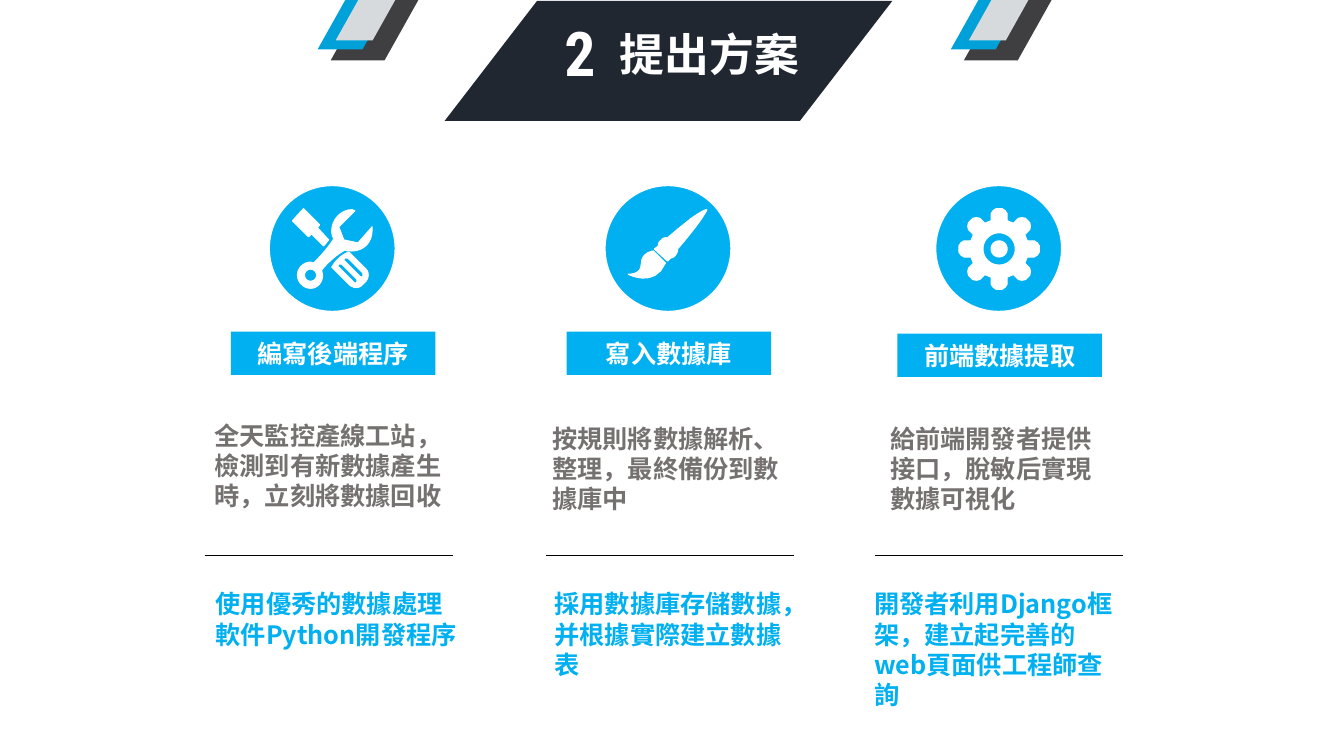
"""Build the slide on proposing a solution: three steps with icons, labels and notes."""
from math import cos, pi, sin

from lxml import etree
from pptx import Presentation
from pptx.dml.color import RGBColor
from pptx.enum.shapes import MSO_CONNECTOR, MSO_SHAPE
from pptx.enum.text import MSO_ANCHOR, MSO_AUTO_SIZE, PP_ALIGN
from pptx.oxml.ns import qn
from pptx.util import Inches, Pt

STRAIGHT = MSO_CONNECTOR.STRAIGHT
OVAL, RECTANGLE, PARALLELOGRAM = MSO_SHAPE.OVAL, MSO_SHAPE.RECTANGLE, MSO_SHAPE.PARALLELOGRAM
CENTER, MIDDLE, GROW = PP_ALIGN.CENTER, MSO_ANCHOR.MIDDLE, MSO_AUTO_SIZE.SHAPE_TO_FIT_TEXT

WHITE = RGBColor(0xFF, 0xFF, 0xFF)
BLACK = RGBColor(0x00, 0x00, 0x00)
NAVY = RGBColor(0x20, 0x27, 0x31)
BLUE = RGBColor(0x00, 0xB0, 0xF0)
GRAY = RGBColor(0x76, 0x71, 0x71)
CHARCOAL = RGBColor(0x3F, 0x3E, 0x40)
DEEP_BLUE = RGBColor(0x00, 0xA1, 0xD8)
SILVER = RGBColor(0xD6, 0xDA, 0xDD)
CJK_FONT = "Noto Sans CJK SC"

prs = Presentation()
prs.slide_width, prs.slide_height = Inches(13.33), Inches(7.5)
slide = prs.slides.add_slide(prs.slide_layouts[6])
shapes = slide.shapes


def add_filled(kind, left, top, width, height, color):
    shape = shapes.add_shape(kind, Inches(left), Inches(top), Inches(width), Inches(height))
    shape.shadow.inherit = False
    shape.fill.solid()
    shape.fill.fore_color.rgb = color
    shape.line.fill.background()
    return shape


def write(shape, text, size, color, font=CJK_FONT, wrap=True):
    frame = shape.text_frame
    frame.word_wrap = wrap
    paragraph = frame.paragraphs[0]
    paragraph.text = text
    paragraph.font.size = Pt(size)
    paragraph.font.bold = True
    paragraph.font.color.rgb = color
    paragraph.font.name = font
    defaults = paragraph._p.pPr.find(qn("a:defRPr"))
    etree.SubElement(defaults, qn("a:ea")).set("typeface", font)
    return frame


banner = add_filled(PARALLELOGRAM, 4.41, 0.01, 4.44, 1.19, NAVY)
banner.adjustments[0] = 0.77
title = shapes.add_textbox(Inches(6.05), Inches(0.22), Inches(1.98), Inches(0.64))
write(title, "提出方案", 32, WHITE, wrap=False).auto_size = GROW
number = shapes.add_textbox(Inches(5.5), Inches(0.1), Inches(1.18), Inches(0.84))
write(number, "2", 44, WHITE, "Roboto Condensed").auto_size = GROW

for ornament_left in (3.15, 9.43):
    for offset, width, height, color in (
        (0.13, 0.87, 0.6, CHARCOAL),
        (0, 0.72, 0.49, DEEP_BLUE),
        (0.18, 0.59, 0.4, SILVER),
    ):
        stripe = add_filled(PARALLELOGRAM, ornament_left + offset, 0, width, height, color)
        stripe.adjustments[0] = 0.56

# Each contour lists corners as (x, y) and curves as two control points and an end.
wrench = [
    (3.42, 2.48), (3.44, 2.49, 3.47, 2.49, 3.49, 2.49), (3.61, 2.49, 3.69, 2.4, 3.69, 2.29),
    (3.69, 2.25), (3.55, 2.41), (3.41, 2.38), (3.36, 2.25), (3.52, 2.09), (3.49, 2.08),
    (3.38, 2.08, 3.29, 2.18, 3.29, 2.29), (3.29, 2.32, 3.3, 2.35, 3.31, 2.37),
    (3.24, 2.48, 3.15, 2.57, 3.11, 2.61), (3.08, 2.6), (3.01, 2.6, 2.95, 2.66, 2.95, 2.73),
    (2.95, 2.8, 3.01, 2.86, 3.08, 2.86), (3.15, 2.86, 3.2, 2.8, 3.2, 2.73), (3.19, 2.68),
    (3.22, 2.64, 3.3, 2.55, 3.42, 2.48),
]
screwdriver_tip = [
    (3.09, 2.32), (3.21, 2.44), (3.26, 2.38), (3.15, 2.26), (3.17, 2.23),
    (3.01, 2.07), (2.9, 2.19), (3.06, 2.35),
]
screwdriver_grip = [
    (3.46, 2.5), (3.46, 2.5, 3.36, 2.53, 3.29, 2.65), (3.47, 2.83),
    (3.51, 2.86, 3.56, 2.86, 3.59, 2.83), (3.63, 2.79), (3.66, 2.75, 3.66, 2.7, 3.63, 2.67),
]
grip_slots = [
    [
        (3.54 + d, 2.8 - d), (3.53 + d, 2.81 - d, 3.52 + d, 2.81 - d, 3.51 + d, 2.8 - d),
        (3.36 + d, 2.65 - d), (3.35 + d, 2.65 - d, 3.35 + d, 2.63 - d, 3.36 + d, 2.62 - d),
        (3.37 + d, 2.62 - d, 3.38 + d, 2.62 - d, 3.39 + d, 2.62 - d), (3.54 + d, 2.77 - d),
    ]
    for d in (0, 0.06)
]
bristles = [
    (6.36, 2.62), (6.36, 2.73, 6.23, 2.72, 6.23, 2.72), (6.23, 2.72, 6.49, 2.86, 6.6, 2.61),
    (6.48, 2.49), (6.48, 2.49, 6.36, 2.5, 6.36, 2.62),
]
brush_handle = [
    (7.01, 2.08), (7.01, 2.08, 6.99, 2.07, 6.85, 2.17), (6.85, 2.17, 6.71, 2.28, 6.62, 2.36),
    (6.58, 2.35, 6.56, 2.38, 6.56, 2.38), (6.52, 2.41, 6.53, 2.44, 6.53, 2.44), (6.49, 2.47),
    (6.62, 2.59), (6.65, 2.56), (6.68, 2.56, 6.7, 2.53, 6.7, 2.53),
    (6.7, 2.53, 6.73, 2.49, 6.72, 2.47), (6.8, 2.38, 6.9, 2.25, 6.9, 2.25),
    (6.94, 2.2, 7.02, 2.08, 7.01, 2.08),
]
tooth = [
    (-0.08, -0.28), (-0.08, -0.35), (-0.06, -0.38), (-0.03, -0.4),
    (0.03, -0.4), (0.06, -0.38), (0.08, -0.35), (0.08, -0.28),
]
gear_x, gear_y = 9.91, 2.47
gear_rim = [
    (gear_x + x * cos(a) - y * sin(a), gear_y + x * sin(a) + y * cos(a))
    for a in [k * pi / 4 for k in range(8)] for x, y in tooth
]
gear_rings = [
    [(gear_x + r * cos(k * pi / 20), gear_y + r * sin(k * pi / 20)) for k in range(40)]
    for r in (0.16, 0.08)
]
wrench_eye = [(3.08 + 0.06 * cos(k * pi / 12), 2.73 + 0.06 * sin(k * pi / 12)) for k in range(24)]

steps = [
    (2.67, 3.29, [wrench, wrench_eye, screwdriver_tip, screwdriver_grip, *grip_slots],
     "編寫後端程序", 2.03,
     (2.03, 4.12, 2.56, "全天監控產線工站，檢測到有新數據產生時，立刻將數據回收"),
     (2.04, 5.79, 2.68, "使用優秀的數據處理軟件Python開發程序")),
    (6, 3.29, [brush_handle, bristles],
     "寫入數據庫", 5.42,
     (5.38, 4.15, 2.54, "按規則將數據解析、整理，最終備份到數據庫中"),
     (5.4, 5.79, 2.68, "採用數據庫存儲數據，并根據實際建立數據表")),
    (9.28, 3.31, [gear_rim, *gear_rings],
     "前端數據提取", 8.68,
     (8.73, 4.15, 2.35, "給前端開發者提供接口，脫敏后實現數據可視化"),
     (8.57, 5.79, 2.68, "開發者利用Django框架，建立起完善的web頁面供工程師查詢")),
]

for disc_left, label_top, contours, label, rule_left, task, method in steps:
    disc = add_filled(OVAL, disc_left, 1.84, 1.25, 1.25, BLUE)
    disc.line.color.rgb = WHITE
    disc.line.width = Pt(1)

    builder = None
    for contour in contours:
        outline = [contour[0]]
        for segment in contour[1:]:
            if len(segment) == 2:
                outline.append(segment)
                continue
            x0, y0 = outline[-1]
            x1, y1, x2, y2, x3, y3 = segment
            for t in [k / 8 for k in range(1, 9)]:
                a, b, c, d = (1 - t) ** 3, 3 * t * (1 - t) ** 2, 3 * t * t * (1 - t), t ** 3
                outline.append((a * x0 + b * x1 + c * x2 + d * x3,
                                a * y0 + b * y1 + c * y2 + d * y3))
        points = [(Inches(x), Inches(y)) for x, y in outline]
        if builder is None:
            builder = shapes.build_freeform(*points[0])
        else:
            builder.move_to(*points[0])
        builder.add_line_segments(points[1:], close=True)
    icon = builder.convert_to_shape()
    icon.shadow.inherit = False
    icon.fill.solid()
    icon.fill.fore_color.rgb = WHITE
    icon.line.color.rgb = WHITE
    icon.line.width = Pt(0.75)

    tag = add_filled(RECTANGLE, disc_left - 0.38, label_top, 2.03, 0.43, BLUE)
    tag_frame = write(tag, label, 18, WHITE)
    tag_frame.vertical_anchor = MIDDLE
    tag_frame.paragraphs[0].alignment = CENTER

    for (left, top, width, text), color in ((task, GRAY), (method, BLUE)):
        note = shapes.add_textbox(Inches(left), Inches(top), Inches(width), Inches(1.01))
        write(note, text, 18, color).auto_size = GROW

    rule = shapes.add_connector(
        STRAIGHT, Inches(rule_left), Inches(5.51), Inches(rule_left + 2.46), Inches(5.51))
    rule.line.color.rgb = BLACK
    rule.line.width = Pt(1)
    etree.SubElement(rule._element.spPr, qn("a:effectLst"))

prs.save("out.pptx")
